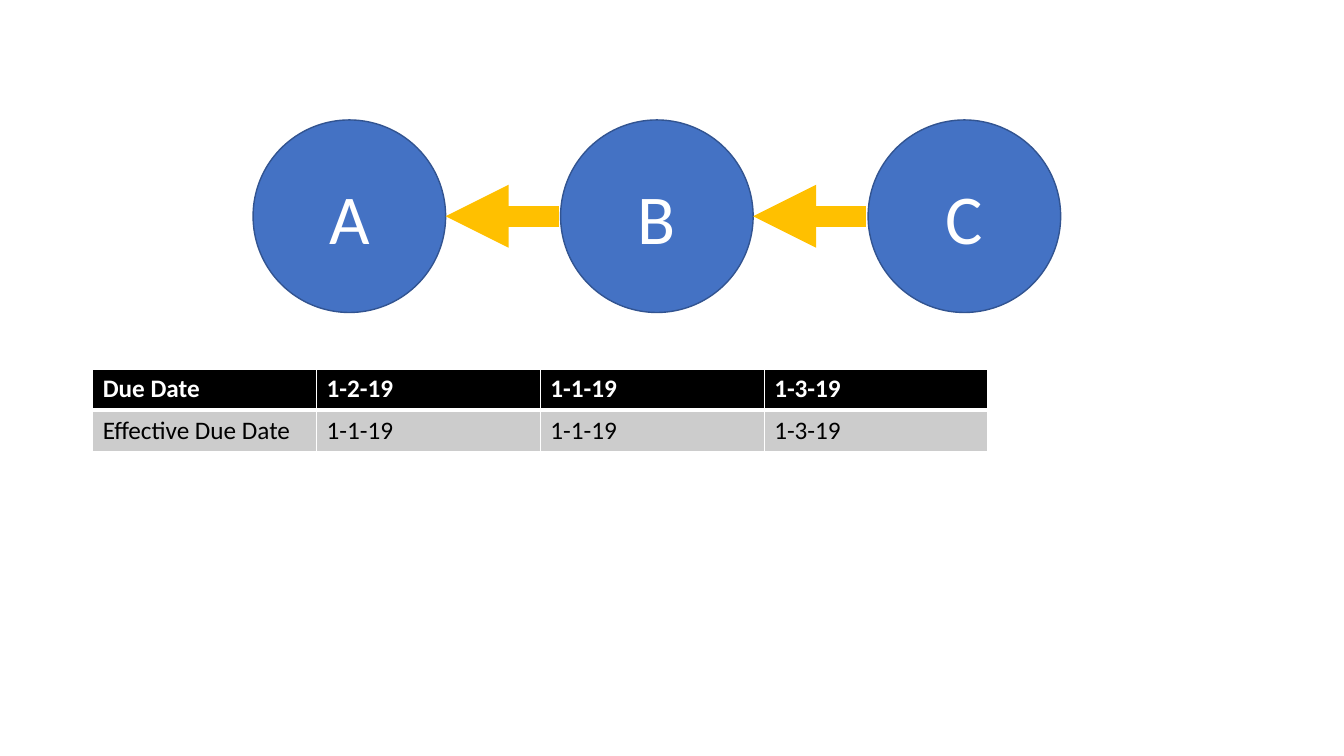
from lxml import etree
from pptx import Presentation
from pptx import util as u
from pptx.dml.color import RGBColor
from pptx.enum import shapes, text
from pptx.oxml.ns import qn

# Content
NODES = ["A", "B", "C"]
DATES = [
    ["Due Date", "1-2-19", "1-1-19", "1-3-19"],
    ["Effective Due Date", "1-1-19", "1-1-19", "1-3-19"],
]

THEME = {
    "font": "Calibri",
    "node_size": 50,
    "table_size": 18,
    "node": "4472C4",
    "node_line": "325491",
    "arrow": "FFC000",
    "header": "000000",
    "row": "CCCCCC",
    "light": "FFFFFF",
    "dark": "000000",
}

# Layout in inches
NODE_LEFT, NODE_TOP, NODE_DIAMETER, NODE_STEP = 2.51, 1.19, 1.91, 3.05
ARROW_GAP = 0.02
TABLE_LEFT, TABLE_TOP, COLUMN_WIDTH, ROW_HEIGHT = 0.92, 3.66, 2.22, 0.41


def color(name):
    return RGBColor.from_string(THEME[name])


def write(frame, content, *, size, fill, bold=False, align=text.PP_ALIGN.LEFT):
    paragraph = frame.paragraphs[0]
    paragraph.alignment = align
    run = paragraph.add_run()
    run.text = content
    run.font.name = THEME["font"]
    run.font.size = u.Pt(size)
    run.font.bold = bold
    run.font.color.rgb = color(fill)


def add_node(slide, label, left):
    shape = slide.shapes.add_shape(
        shapes.MSO_SHAPE.OVAL, u.Inches(left), u.Inches(NODE_TOP),
        u.Inches(NODE_DIAMETER), u.Inches(NODE_DIAMETER))
    shape.shadow.inherit = False
    shape.fill.solid()
    shape.fill.fore_color.rgb = color("node")
    shape.line.color.rgb = color("node_line")
    shape.line.width = u.Pt(1)
    shape.text_frame.vertical_anchor = text.MSO_ANCHOR.MIDDLE
    write(shape.text_frame, label, size=THEME["node_size"], fill="light",
          align=text.PP_ALIGN.CENTER)


def add_arrow(slide, start, end):
    middle = u.Inches(NODE_TOP + NODE_DIAMETER / 2)
    arrow = slide.shapes.add_connector(
        shapes.MSO_CONNECTOR.STRAIGHT, u.Inches(start), middle, u.Inches(end), middle)
    arrow.line.color.rgb = color("arrow")
    arrow.line.width = u.Pt(15)
    etree.SubElement(arrow.line._get_or_add_ln(), qn("a:tailEnd"), type="triangle")
    etree.SubElement(arrow._element.spPr, qn("a:effectLst"))


def set_borders(cell, **widths):
    properties = cell._tc.get_or_add_tcPr()
    for side, width in widths.items():
        border = etree.SubElement(properties, qn(f"a:ln{side}"), w=str(u.Pt(width)))
        fill = etree.SubElement(border, qn("a:solidFill"))
        etree.SubElement(fill, qn("a:srgbClr"), val=THEME["light"])


def add_dates(slide):
    rows, columns = len(DATES), len(DATES[0])
    table = slide.shapes.add_table(
        rows, columns, u.Inches(TABLE_LEFT), u.Inches(TABLE_TOP),
        u.Inches(COLUMN_WIDTH * columns), u.Inches(ROW_HEIGHT * rows)).table
    for row, values in enumerate(DATES):
        header = row == 0
        for column, value in enumerate(values):
            cell = table.cell(row, column)
            # The thick rule separates the header from the row below
            set_borders(cell, L=1, R=1, T=1 if header else 3, B=3 if header else 1)
            cell.fill.solid()
            cell.fill.fore_color.rgb = color("header" if header else "row")
            write(cell.text_frame, value, size=THEME["table_size"], bold=header,
                  fill="light" if header else "dark")


def main():
    presentation = Presentation()
    presentation.slide_width = u.Inches(13.33)
    presentation.slide_height = u.Inches(7.5)
    slide = presentation.slides.add_slide(presentation.slide_layouts[6])

    # Chain of nodes, each pointing back to the one before
    for index, label in enumerate(NODES):
        left = NODE_LEFT + index * NODE_STEP
        add_node(slide, label, left)
        if index:
            add_arrow(slide, left - ARROW_GAP, left - NODE_STEP + NODE_DIAMETER)

    # Table of dates
    add_dates(slide)
    presentation.save("out.pptx")


if __name__ == "__main__":
    main()
